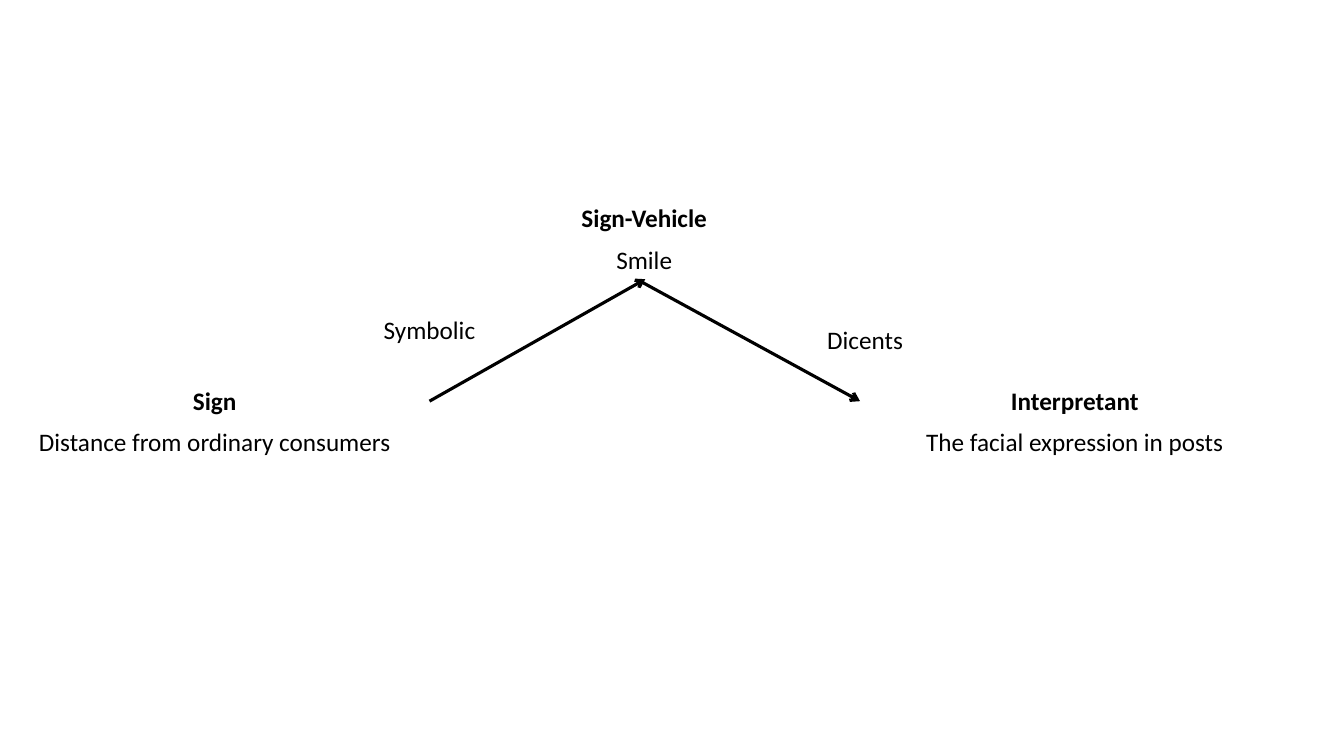
from dataclasses import dataclass

from lxml.etree import SubElement
from pptx import Presentation
from pptx.dml.color import RGBColor
from pptx.enum.shapes import MSO_CONNECTOR
from pptx.enum.text import MSO_AUTO_SIZE, PP_ALIGN
from pptx.oxml.ns import qn
from pptx.util import Emu, Pt


@dataclass(frozen=True)
class Theme:
    font: str = "Calibri"
    size: int = 18
    ink: RGBColor = RGBColor(0, 0, 0)
    line_width: float = 2.25


THEME = Theme()
EMU_PER_PX = 9144
COLUMN_WIDTH = 426
LABEL_HEIGHT = 40
DETAIL_OFFSET = 41

CORNERS = [
    ("Sign", "Distance from ordinary consumers", 0, 377),
    ("Sign-Vehicle", "Smile", 426, 196),
    ("Interpretant", "The facial expression in posts", 853, 377),
]
RELATIONS = [
    ("Symbolic", 213, 307, COLUMN_WIDTH),
    ("Dicents", 719, 317, 278),
]
ARROWS = [
    ((426, 398), (640, 277)),
    ((635, 279), (853, 398)),
]


def px(length):
    return Emu(length * EMU_PER_PX)


def add_label(slide, text, *, left, top, width=COLUMN_WIDTH, bold=False):
    label = slide.shapes.add_textbox(px(left), px(top), px(width), px(LABEL_HEIGHT))
    frame = label.text_frame
    frame.word_wrap = True
    frame.auto_size = MSO_AUTO_SIZE.SHAPE_TO_FIT_TEXT
    paragraph = frame.paragraphs[0]
    paragraph.alignment = PP_ALIGN.CENTER
    run = paragraph.add_run()
    run.text = text
    run.font.name = THEME.font
    run.font.size = Pt(THEME.size)
    run.font.color.rgb = THEME.ink
    run.font.bold = bold


def add_corner(slide, heading, detail, left, top):
    add_label(slide, detail, left=left, top=top + DETAIL_OFFSET)
    add_label(slide, heading, left=left, top=top, bold=True)


def add_arrow(slide, start, end):
    arrow = slide.shapes.add_connector(
        MSO_CONNECTOR.STRAIGHT, *map(px, start), *map(px, end)
    )
    arrow.line.color.rgb = THEME.ink
    arrow.line.width = Pt(THEME.line_width)
    properties = arrow.element.spPr
    SubElement(properties.find(qn("a:ln")), qn("a:tailEnd"), type="arrow")
    SubElement(properties, qn("a:effectLst"))


def main():
    presentation = Presentation()
    presentation.slide_width = px(1333)
    presentation.slide_height = px(750)
    slide = presentation.slides.add_slide(presentation.slide_layouts[6])
    for heading, detail, left, top in CORNERS:
        add_corner(slide, heading, detail, left, top)
    for start, end in ARROWS:
        add_arrow(slide, start, end)
    for relation, left, top, width in RELATIONS:
        add_label(slide, relation, left=left, top=top, width=width)
    presentation.save("out.pptx")


if __name__ == "__main__":
    main()
